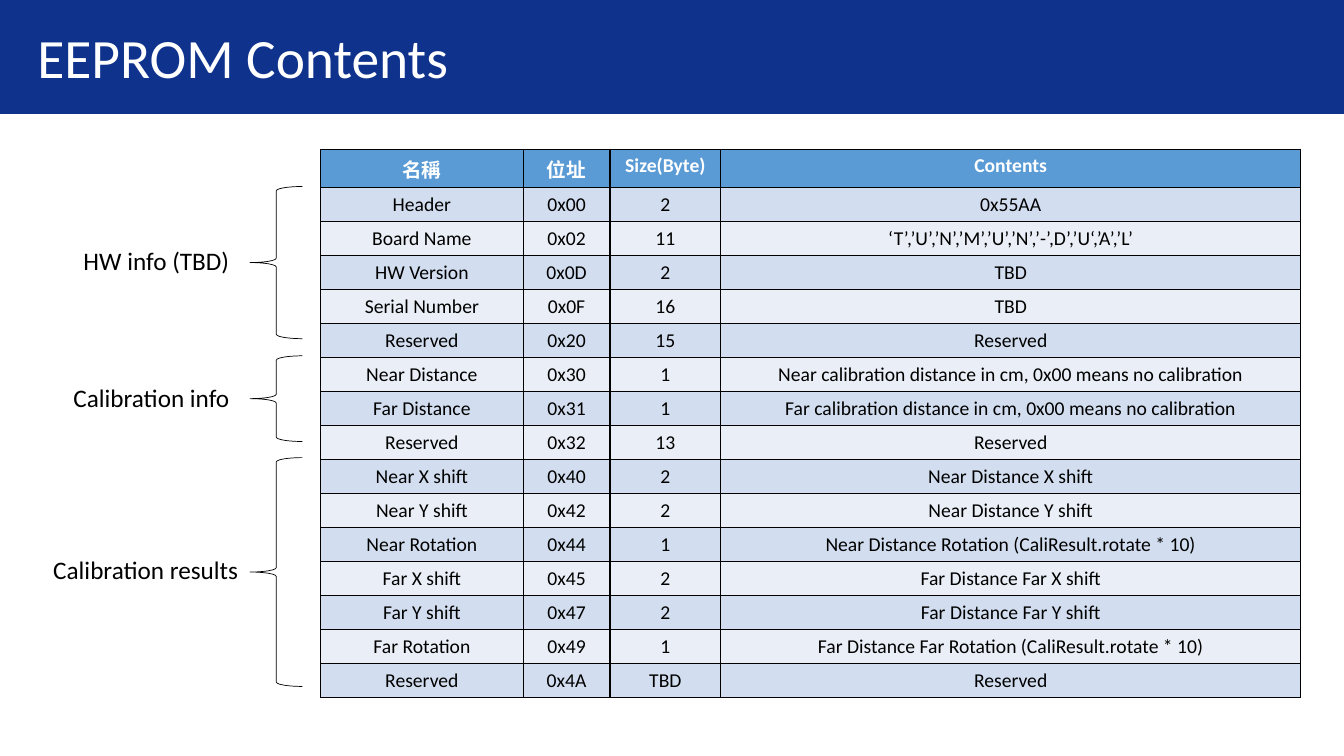
import dataclasses
import typing

import lxml.etree
import pptx
import pptx.dml.color
import pptx.enum.shapes
import pptx.enum.text
import pptx.oxml.ns
import pptx.util

Inches = pptx.util.Inches
Align = pptx.enum.text.PP_ALIGN
Anchor = pptx.enum.text.MSO_ANCHOR
Fit = pptx.enum.text.MSO_AUTO_SIZE
Kind = pptx.enum.shapes.MSO_SHAPE


@dataclasses.dataclass(frozen=True)
class Theme:
    font: str = "Calibri"
    navy: str = "0F338C"
    head: str = "5B9BD5"
    odd: str = "D2DEEF"
    even: str = "EAEFF7"
    black: str = "000000"
    white: str = "FFFFFF"
    title: float = 39.6
    label: float = 18
    cell: float = 14
    rule: float = 1
    brace: float = 0.5


class Box(typing.NamedTuple):
    left: float
    top: float
    width: float
    height: float

    def place(self) -> list[int]:
        return [Inches(side) for side in self]


class Field(typing.NamedTuple):
    name: str
    start: str
    size: str
    notes: str


class Group(typing.NamedTuple):
    text: str
    label: Box
    brace: Box


THEME = Theme()
WIDTHS = (2.01, 0.86, 1.1, 5.75)
FIELDS = (
    Field("名稱", "位址", "Size(Byte)", "Contents"),
    Field("Header", "0x00", "2", "0x55AA"),
    Field("Board Name", "0x02", "11", "‘T’,’U’,’N’,’M’,’U’,’N’,’-’,D’,’U‘,’A’,’L’"),
    Field("HW Version", "0x0D", "2", "TBD"),
    Field("Serial Number", "0x0F", "16", "TBD"),
    Field("Reserved", "0x20", "15", "Reserved"),
    Field("Near Distance", "0x30", "1", "Near calibration distance in cm, 0x00 means no calibration"),
    Field("Far Distance", "0x31", "1", "Far calibration distance in cm, 0x00 means no calibration"),
    Field("Reserved", "0x32", "13", "Reserved"),
    Field("Near X shift", "0x40", "2", "Near Distance X shift"),
    Field("Near Y shift", "0x42", "2", "Near Distance Y shift"),
    Field("Near Rotation", "0x44", "1", "Near Distance Rotation (CaliResult.rotate * 10)"),
    Field("Far X shift", "0x45", "2", "Far Distance Far X shift"),
    Field("Far Y shift", "0x47", "2", "Far Distance Far Y shift"),
    Field("Far Rotation", "0x49", "1", "Far Distance Far Rotation (CaliResult.rotate * 10)"),
    Field("Reserved", "0x4A", "TBD", "Reserved"),
)
GROUPS = (
    Group("HW info (TBD)", Box(0.73, 2.38, 1.66, 0.4), Box(2.48, 1.85, 0.52, 1.51)),
    Group("Calibration info", Box(0.63, 3.74, 1.77, 0.4), Box(2.48, 3.53, 0.52, 0.85)),
    Group("Calibration results", Box(0.43, 5.45, 2.06, 0.4), Box(2.48, 4.54, 0.52, 2.27)),
)


def paint(fill: typing.Any, hue: str) -> None:
    fill.solid()
    fill.fore_color.rgb = pptx.dml.color.RGBColor.from_string(hue)


def write(frame: typing.Any, text: str, size: float, hue: str,
          align: Align = Align.LEFT, bold: bool = False) -> None:
    line = frame.paragraphs[0]
    line.alignment = align
    run = line.add_run()
    run.text = text
    run.font.name = THEME.font
    run.font.size = pptx.util.Pt(size)
    run.font.bold = bold
    paint(run.font.fill, hue)


def border(cell: typing.Any) -> None:
    props = cell._tc.get_or_add_tcPr()
    name = pptx.oxml.ns.qn
    for side in ("a:lnL", "a:lnR", "a:lnT", "a:lnB"):
        line = lxml.etree.SubElement(props, name(side), w=str(pptx.util.Pt(THEME.rule)))
        fill = lxml.etree.SubElement(line, name("a:solidFill"))
        lxml.etree.SubElement(fill, name("a:srgbClr"), val=THEME.black)


def draw_head(slide: typing.Any) -> None:
    title = slide.shapes.title
    title.left, title.top, title.width, title.height = Box(0.27, 0.29, 9.45, 0.63).place()
    frame = title.text_frame
    frame.auto_size = Fit.NONE
    frame.vertical_anchor = Anchor.MIDDLE
    write(frame, "EEPROM Contents", THEME.title, THEME.white)
    frame.paragraphs[0].line_spacing = 0.9

    band = slide.shapes.add_shape(Kind.RECTANGLE, *Box(0, 0, 13.33, 1.13).place())
    band.shadow.inherit = False
    paint(band.fill, THEME.navy)
    band.line.fill.background()
    title.element.addprevious(band.element)


def draw_table(slide: typing.Any) -> None:
    place = Box(3.18, 1.48, sum(WIDTHS), 5.33).place()
    table = slide.shapes.add_table(len(FIELDS), len(WIDTHS), *place).table
    for column, width in zip(table.columns, WIDTHS):
        column.width = Inches(width)
    for index, field in enumerate(FIELDS):
        first = index == 0
        back = THEME.head if first else THEME.odd if index % 2 else THEME.even
        hue = THEME.white if first else THEME.black
        for cell, text in zip(table.rows[index].cells, field):
            border(cell)
            paint(cell.fill, back)
            write(cell.text_frame, text, THEME.cell, hue, Align.CENTER, first)


def draw_group(slide: typing.Any, group: Group) -> None:
    brace = slide.shapes.add_shape(Kind.LEFT_BRACE, *group.brace.place())
    brace.shadow.inherit = False
    brace.fill.background()
    paint(brace.line.fill, THEME.black)
    brace.line.width = pptx.util.Pt(THEME.brace)
    frame = slide.shapes.add_textbox(*group.label.place()).text_frame
    frame.word_wrap = False
    frame.auto_size = Fit.SHAPE_TO_FIT_TEXT
    write(frame, group.text, THEME.label, THEME.black)


def main() -> None:
    deck = pptx.Presentation()
    deck.slide_width, deck.slide_height = Inches(13.33), Inches(7.5)
    slide = deck.slides.add_slide(deck.slide_layouts.get_by_name("Title Only"))
    draw_head(slide)
    draw_table(slide)
    for group in GROUPS:
        draw_group(slide, group)
    deck.save("out.pptx")


if __name__ == "__main__":
    main()
